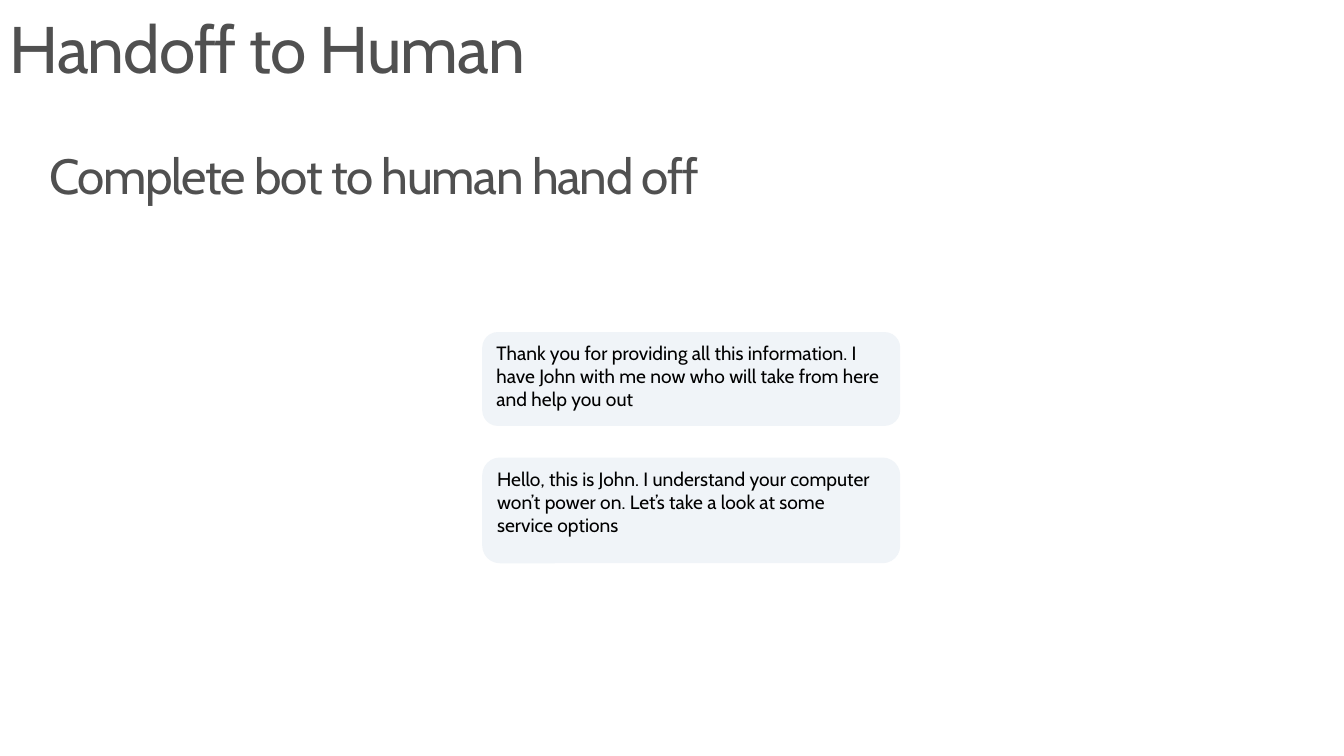
from pptx import Presentation
from pptx.dml.color import RGBColor
from pptx.enum.shapes import MSO_SHAPE
from pptx.enum.text import MSO_ANCHOR, PP_ALIGN
from pptx.util import Inches, Pt

BUBBLE = MSO_SHAPE.ROUNDED_RECTANGLE
TOP = MSO_ANCHOR.TOP
LEFT = PP_ALIGN.LEFT
GRAY = RGBColor(0x50, 0x50, 0x50)
BLACK = RGBColor(0, 0, 0)
PALE_BLUE = RGBColor(0xF0, 0xF4, 0xF8)


class HandoffSlide:
    font_name = "Cabin"

    def __init__(self, slide):
        self.slide = slide

    def set_wording(self, shape, text, size, color):
        frame = shape.text_frame
        frame.text = text
        frame.word_wrap = True
        frame.vertical_anchor = TOP
        paragraph = frame.paragraphs[0]
        paragraph.alignment = LEFT
        run = paragraph.runs[0]
        run.font.name = self.font_name
        run.font.size = Pt(size)
        run.font.color.rgb = color
        return paragraph

    def heading(self, text, left, top, width, height, size, side_inset, tracking):
        box = self.slide.shapes.add_textbox(
            Inches(left), Inches(top), Inches(width), Inches(height))
        frame = box.text_frame
        frame.margin_left = frame.margin_right = Inches(side_inset)
        frame.margin_top = frame.margin_bottom = Inches(0.1)
        paragraph = self.set_wording(box, text, size, GRAY)
        paragraph.line_spacing = 0.9
        paragraph.runs[0]._r.get_or_add_rPr().set("spc", str(tracking))

    def message(self, text, top, height):
        bubble = self.slide.shapes.add_shape(
            BUBBLE, Inches(4.88), Inches(top), Inches(4.23), Inches(height))
        bubble.shadow.inherit = False
        bubble.fill.solid()
        bubble.fill.fore_color.rgb = PALE_BLUE
        bubble.line.fill.background()
        self.set_wording(bubble, text, 14, BLACK)


def main():
    deck = Presentation()
    deck.slide_width = Inches(13.6)
    deck.slide_height = Inches(7.65)
    handoff = HandoffSlide(deck.slides.add_slide(deck.slide_layouts[6]))

    handoff.heading("Handoff to Human", 0, 0.07, 13, 1, 48, 0.1, -70)
    handoff.heading("Complete bot to human hand off", 0.34, 1.44, 10.54, 2.83, 36, 0.16, -100)
    handoff.message(
        "Thank you for providing all this information. I have John with me now "
        "who will take from here and help you out", 3.36, 0.95)
    handoff.message(
        "Hello, this is John. I understand your computer won’t power on. "
        "Let’s take a look at some service options", 4.63, 1.07)

    deck.save("out.pptx")


if __name__ == "__main__":
    main()
